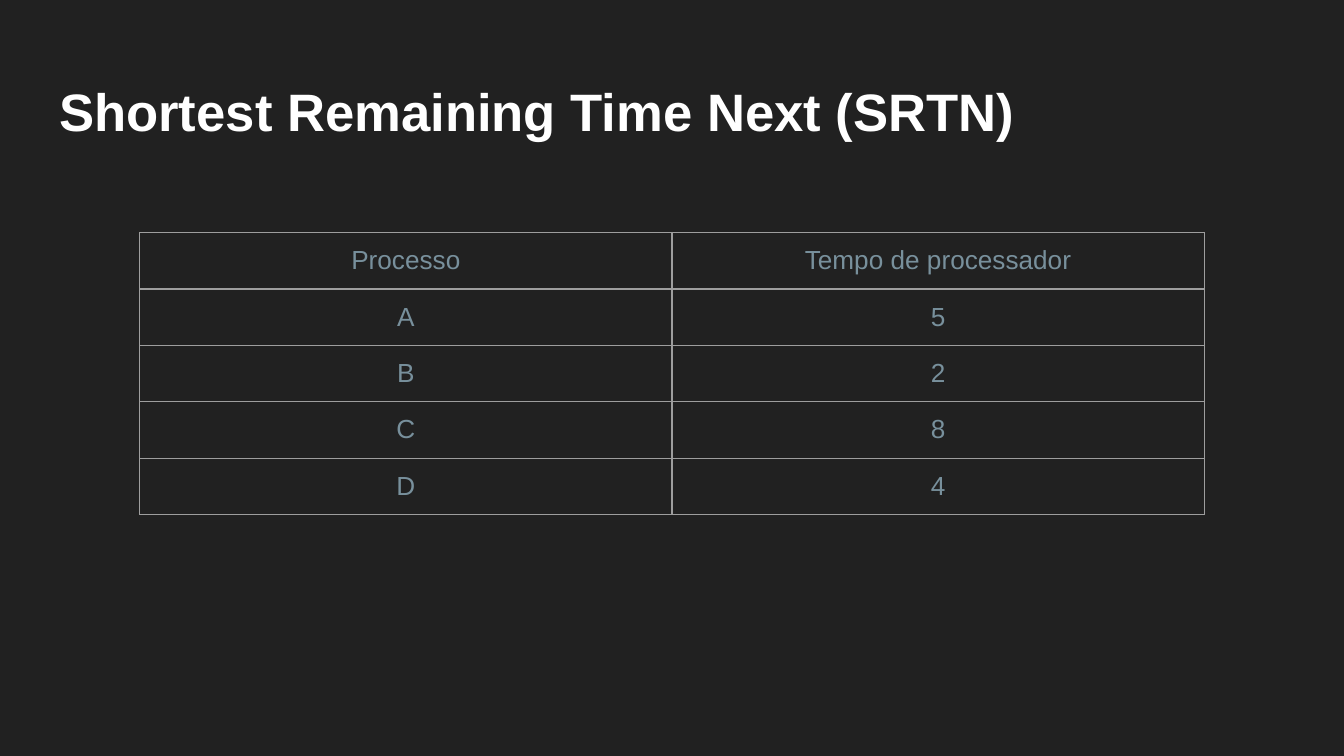
from lxml import etree
from pptx import Presentation
from pptx.dml.color import RGBColor
from pptx.enum import text
from pptx.oxml import ns
from pptx.util import Inches, Pt

HUES = {"back": "212121", "title": "FFFFFF", "cell": "78909C", "line": "9E9E9E"}
ROWS = [
    ("Processo", "Tempo de processador"),
    ("A", "5"),
    ("B", "2"),
    ("C", "8"),
    ("D", "4"),
]
PAD = Inches(0.1)


def style(par, size, hue, bold=False):
    for run in par.runs:
        run.font.name = "Arial"
        run.font.size = Pt(size)
        run.font.bold = bold
        run.font.color.rgb = RGBColor.from_string(HUES[hue])


def border(cell):
    """Draw a thin line on all four sides of the cell."""
    props = cell._tc.get_or_add_tcPr()
    for i, side in enumerate(("lnL", "lnR", "lnT", "lnB")):
        line = etree.Element(ns.qn(f"a:{side}"), w=str(Pt(0.75)))
        fill = etree.SubElement(line, ns.qn("a:solidFill"))
        etree.SubElement(fill, ns.qn("a:srgbClr"), val=HUES["line"])
        props.insert(i, line)


prs = Presentation()
prs.slide_width = Inches(10)
prs.slide_height = Inches(10 * 9 / 16)
slide = prs.slides.add_slide(prs.slide_layouts[5])
slide.background.fill.solid()
slide.background.fill.fore_color.rgb = RGBColor.from_string(HUES["back"])

title = slide.shapes.title
title.left, title.top = Inches(0.34), Inches(0.49)
title.width, title.height = Inches(9.32), Inches(0.63)
frame = title.text_frame
frame.text = "Shortest Remaining Time Next (SRTN)"
frame.margin_left = frame.margin_right = PAD
frame.margin_top = frame.margin_bottom = PAD
frame.vertical_anchor = text.MSO_ANCHOR.MIDDLE
frame.auto_size = text.MSO_AUTO_SIZE.NONE
head = frame.paragraphs[0]
head.alignment = text.PP_ALIGN.LEFT
head.line_spacing = 1.08
style(head, 28.2, "title", True)

grid = slide.shapes.add_table(
    len(ROWS), 2, Inches(1.04), Inches(1.73),
    Inches(2 * 3.96), Inches(0.42 * len(ROWS))).table
grid.first_row = grid.horz_banding = False
for r, row in enumerate(ROWS):
    for c, word in enumerate(row):
        cell = grid.cell(r, c)
        cell.text = word
        cell.margin_left = cell.margin_right = PAD
        cell.margin_top = cell.margin_bottom = PAD
        cell.fill.background()
        border(cell)
        par = cell.text_frame.paragraphs[0]
        par.alignment = text.PP_ALIGN.CENTER
        style(par, 14, "cell")

prs.save("out.pptx")
